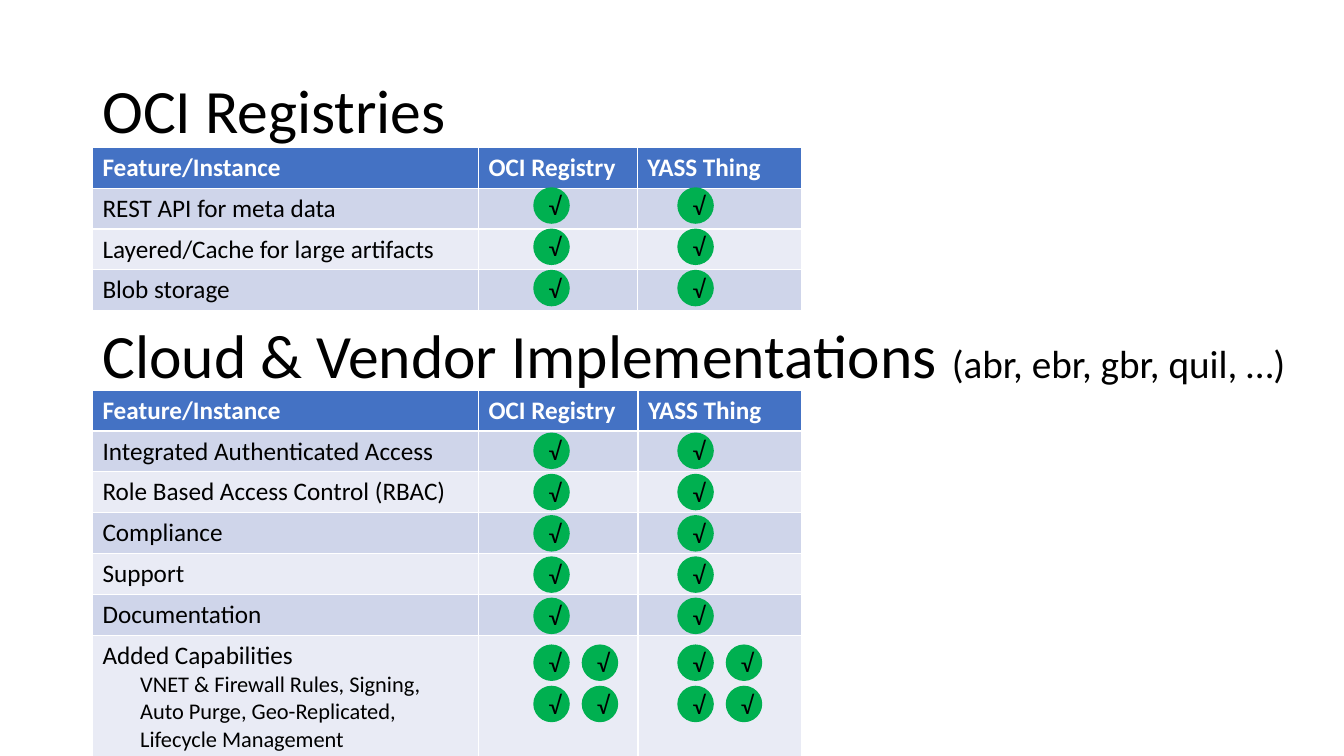
from dataclasses import dataclass

from pptx import Presentation
from pptx import util as u
from pptx.dml.color import RGBColor
from pptx.enum import shapes, text

FONT = "Calibri"
BLACK, WHITE, GREEN, BLUE = "000000", "FFFFFF", "00B050", "4472C4"
BANDS = ("CFD5EA", "E9EBF5")
LEFT = 2.33
ROW_HEIGHT = 1.03
CHECK_SIZE, CHECK_PITCH, CHECK_PAIR_GAP = 0.92, 1.04, 1.22
CHECK_COLUMNS = (13.44, 17.07)
HEADINGS = ("Feature/Instance", "OCI Registry", "YASS Thing")


@dataclass
class FeatureTable:
    top: float
    widths: tuple[float, ...]
    features: tuple[str, ...]
    first_check: float
    single_checks: int


REGISTRIES = FeatureTable(
    3.71, (9.73, 4.0, 4.13),
    ("REST API for meta data", "Layered/Cache for large artifacts", "Blob storage"),
    4.72, 3)
IMPLEMENTATIONS = FeatureTable(
    9.83, (9.73, 4.02, 4.13),
    ("Integrated Authenticated Access", "Role Based Access Control (RBAC)",
     "Compliance", "Support", "Documentation",
     "Added Capabilities\vVNET & Firewall Rules, Signing, "
     "Auto Purge, Geo-Replicated, Lifecycle Management"),
    10.9, 5)
ADDED_HEIGHT = 3.04
ADDED_CHECKS_TOP = 16.24


def color(value: str) -> RGBColor:
    return RGBColor.from_string(value)


def style_runs(paragraph, sizes: tuple[int, ...], ink: str = BLACK, bold: bool = False) -> None:
    for run, size in zip(paragraph.runs, sizes):
        run.font.name = FONT
        run.font.size = u.Pt(size)
        run.font.bold = bold
        run.font.color.rgb = color(ink)


def add_heading(slide, top: float, width: float, height: float, wrap: bool):
    box = slide.shapes.add_textbox(u.Cm(LEFT), u.Cm(top), u.Cm(width), u.Cm(height))
    box.text_frame.word_wrap = wrap
    return box.text_frame


def add_check(slide, left: float, top: float) -> None:
    check = slide.shapes.add_shape(shapes.MSO_SHAPE.OVAL, u.Cm(left), u.Cm(top),
                                   u.Cm(CHECK_SIZE), u.Cm(CHECK_SIZE))
    check.shadow.inherit = False
    check.fill.solid()
    check.fill.fore_color.rgb = color(GREEN)
    check.line.fill.background()
    check.text_frame.text = "√"
    check.text_frame.vertical_anchor = text.MSO_ANCHOR.MIDDLE
    label = check.text_frame.paragraphs[0]
    label.alignment = text.PP_ALIGN.CENTER
    style_runs(label, (18,))


def add_feature_table(slide, spec_table: FeatureTable):
    rows = [HEADINGS] + [(feature, "", "") for feature in spec_table.features]
    table = slide.shapes.add_table(
        len(rows), len(HEADINGS), u.Cm(LEFT), u.Cm(spec_table.top),
        u.Cm(sum(spec_table.widths)), u.Cm(ROW_HEIGHT * len(rows))).table
    for column, width in zip(table.columns, spec_table.widths):
        column.width = u.Cm(width)
    for index, row in enumerate(rows):
        table.rows[index].height = u.Cm(ROW_HEIGHT)
        header = index == 0
        for cell, wording in zip(table.rows[index].cells, row):
            cell.fill.solid()
            cell.fill.fore_color.rgb = color(BLUE if header else BANDS[(index - 1) % 2])
            paragraph = cell.text_frame.paragraphs[0]
            paragraph.text = wording
            style_runs(paragraph, (18, 16), WHITE if header else BLACK, header)
    for left in CHECK_COLUMNS:
        for index in range(spec_table.single_checks):
            add_check(slide, left, spec_table.first_check + index * CHECK_PITCH)
    return table


def main() -> None:
    deck = Presentation()
    deck.slide_width, deck.slide_height = u.Cm(33.87), u.Cm(19.05)
    slide = deck.slides.add_slide(deck.slide_layouts[6])

    title = add_heading(slide, 1.01, 29.21, 3.68, True)
    title.vertical_anchor = text.MSO_ANCHOR.MIDDLE
    title.text = "OCI Registries"
    title.paragraphs[0].line_spacing = 0.9
    style_runs(title.paragraphs[0], (44,))
    add_feature_table(slide, REGISTRIES)

    implementations = add_feature_table(slide, IMPLEMENTATIONS)
    last_row = len(IMPLEMENTATIONS.features)
    implementations.rows[last_row].height = u.Cm(ADDED_HEIGHT)
    added = implementations.cell(last_row, 0).text_frame.paragraphs[0]
    hanging = u.Cm(0.95)
    properties = added._p.get_or_add_pPr()
    properties.set("marL", str(hanging))
    properties.set("indent", str(-hanging))

    subtitle = add_heading(slide, 7.85, 30.56, 2.13, False)
    subtitle.text = "Cloud & Vendor Implementations "
    subtitle.paragraphs[0].add_run().text = "(abr, ebr, gbr, quil, …)"
    style_runs(subtitle.paragraphs[0], (44, 28))

    for left in CHECK_COLUMNS:
        for column in range(2):
            for row in range(2):
                add_check(slide, left + column * CHECK_PAIR_GAP,
                          ADDED_CHECKS_TOP + row * CHECK_PITCH)

    deck.save("out.pptx")


if __name__ == "__main__":
    main()
